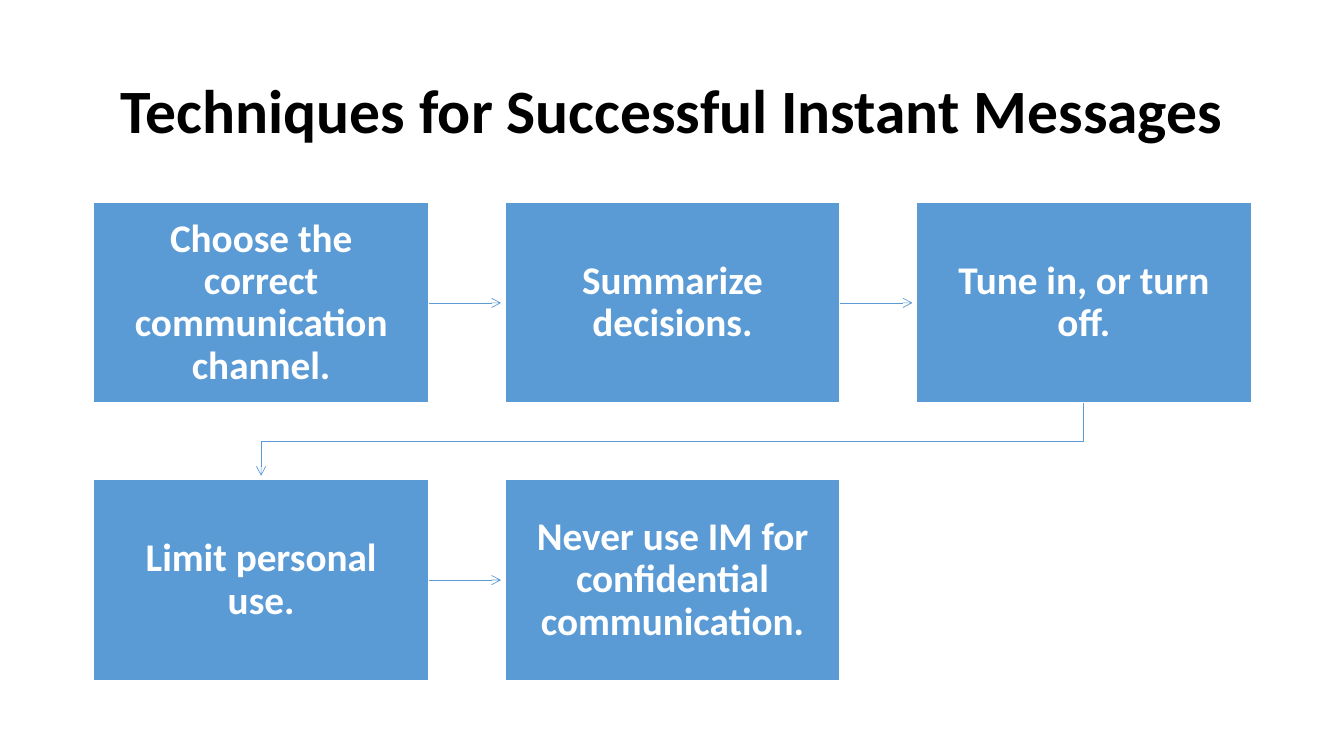
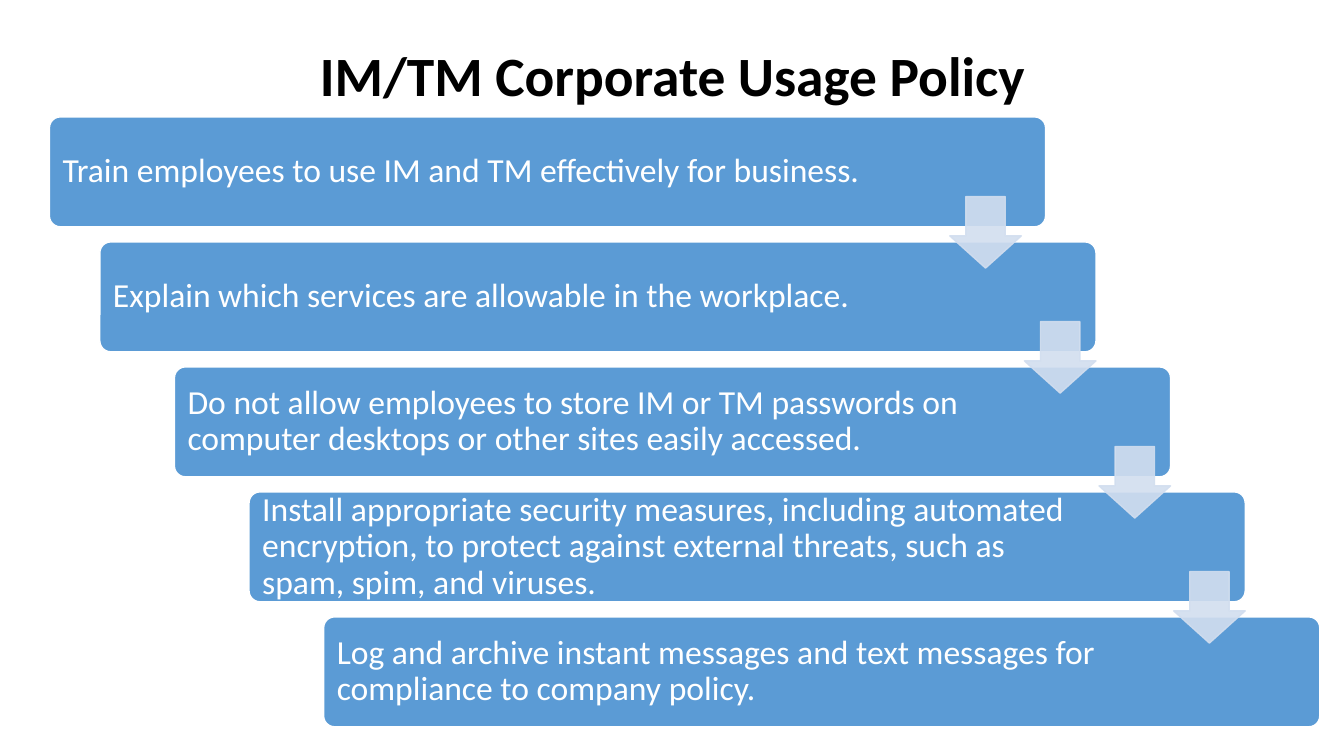
from pptx import Presentation
from pptx import util as u
from pptx.dml.color import RGBColor
from pptx.enum import shapes, text
from pptx.oxml.ns import qn
from lxml import etree

PX = 9144
FONT = "Calibri"
BLUE = RGBColor(0x5B, 0x9B, 0xD5)
PALE = RGBColor(0xD2, 0xDE, 0xEF)
WHITE = RGBColor(0xFF, 0xFF, 0xFF)
BLACK = RGBColor(0, 0, 0)

TECHNIQUES = [
    "Choose the correct communication channel.",
    "Summarize decisions.",
    "Tune in, or turn off.",
    "Limit personal use.",
    "Never use IM for confidential communication.",
]
POLICIES = [
    "Train employees to use IM and TM effectively for business.",
    "Explain which services are allowable in the workplace.",
    "Do not allow employees to store IM or TM passwords on computer desktops "
    "or other sites easily accessed.",
    "Install appropriate security measures, including automated encryption, "
    "to protect against external threats, such as spam, spim, and viruses.",
    "Log and archive instant messages and text messages for compliance to "
    "company policy.",
]


def px(*lengths):
    """Turn px lengths into EMU."""
    return [u.Emu(round(length * PX)) for length in lengths]


def write(shape, words, size, color, align, bold, insets):
    """Set one paragraph, vertically centred, inside a shape."""
    frame = shape.text_frame
    frame.text = words
    frame.word_wrap = True
    frame.auto_size = text.MSO_AUTO_SIZE.NONE
    frame.vertical_anchor = text.MSO_ANCHOR.MIDDLE
    (frame.margin_left, frame.margin_top,
     frame.margin_right, frame.margin_bottom) = px(*insets)
    para = frame.paragraphs[0]
    para.alignment = align
    para.line_spacing = 0.9
    font = para.runs[0].font
    font.name, font.size, font.bold = FONT, u.Pt(size), bold
    font.color.rgb = color


def add_page(deck, title, height, size):
    """Add a slide with its centred bold title."""
    page = deck.slides.add_slide(deck.slide_layouts[5])
    holder = page.shapes.title
    holder.left, holder.top, holder.width, holder.height = px(92, 40, 1150, height)
    write(holder, title, size, BLACK, text.PP_ALIGN.CENTER, True, (10, 5, 10, 5))
    return page


def add_block(page, kind, place, fill, line):
    """Add a flat filled shape with a 1 pt outline."""
    block = page.shapes.add_shape(kind, *px(*place))
    block.shadow.inherit = False
    block.fill.solid()
    block.fill.fore_color.rgb = fill
    block.line.color.rgb = line
    block.line.width = u.Pt(1)
    return block


def style_arrow(line):
    """Make a line thin and blue with an open arrowhead at its end."""
    line.color.rgb = BLUE
    line.width = u.Pt(0.5)
    head = etree.SubElement(line._get_or_add_ln(), qn("a:tailEnd"))
    head.set("type", "arrow")


def link_across(page, first, second, gap):
    """Draw an arrow from one box to just before the box on its right."""
    middle = first.top + first.height // 2
    arrow = page.shapes.add_connector(
        shapes.MSO_CONNECTOR.STRAIGHT, first.left + first.width, middle,
        second.left - px(gap)[0], middle)
    arrow.begin_connect(first, 3)
    style_arrow(arrow.line)
    etree.SubElement(arrow._element.spPr, qn("a:effectLst"))


def link_down(page, first, second, gap):
    """Draw a bent arrow from the end of one row to the start of the next."""
    start_x = first.left + first.width // 2
    end_x = second.left + second.width // 2
    bottom = first.top + first.height
    bend = (bottom + second.top) // 2
    builder = page.shapes.build_freeform(start_x, bottom)
    builder.add_line_segments(
        [(start_x, bend), (end_x, bend), (end_x, second.top - px(gap)[0])],
        close=False)
    arrow = builder.convert_to_shape()
    arrow.shadow.inherit = False
    arrow.fill.background()
    style_arrow(arrow.line)


def add_process(page, left, top, steps, columns=3):
    """Lay steps out in rows of boxes joined by arrows."""
    width, height, step_x, step_y, gap = 332, 199, 408, 275, 4
    boxes = []
    for index, words in enumerate(steps):
        row, column = divmod(index, columns)
        place = (left + column * step_x, top + row * step_y, width, height)
        box = add_block(page, shapes.MSO_SHAPE.RECTANGLE, place, BLUE, WHITE)
        write(box, words, 28, WHITE, text.PP_ALIGN.CENTER, True, (22,) * 4)
        boxes.append(box)
    for first, second in zip(boxes, boxes[1:]):
        link = link_across if first.top == second.top else link_down
        link(page, first, second, gap)


def add_down_arrow(page, left, top):
    """Add a pale, slightly transparent block arrow."""
    arrow = add_block(page, shapes.MSO_SHAPE.DOWN_ARROW,
                      (left, top, 71, 71), PALE, PALE)
    arrow.adjustments[0], arrow.adjustments[1] = 0.55, 0.45
    for color in arrow._element.spPr.iter(qn("a:srgbClr")):
        etree.SubElement(color, qn("a:alpha")).set("val", "90000")


def add_staircase(page, left, top, steps):
    """Stack steps in a staircase with arrows leading down."""
    width, height, step_x, step_y, first_shift = 988, 109, 74, 124, 50
    corners = [(left + (first_shift + (index - 1) * step_x if index else 0),
                top + index * step_y) for index in range(len(steps))]
    for (x, y), words in zip(corners, steps):
        bar = add_block(page, shapes.MSO_SHAPE.ROUNDED_RECTANGLE,
                        (x, y, width, height), BLUE, WHITE)
        bar.adjustments[0] = 0.1
        write(bar, words, 24, WHITE, text.PP_ALIGN.LEFT, False, (10, 0, 155, 0))
    for x, y in corners[1:]:
        add_down_arrow(page, x + width - 145, y - 45)


def main():
    """Build and save the deck."""
    deck = Presentation()
    deck.slide_width, deck.slide_height = px(1333, 750)
    page = add_page(deck, "Techniques for Successful Instant Messages", 145, 44)
    add_process(page, 93, 201, TECHNIQUES)
    page = add_page(deck, "IM/TM Corporate Usage Policy", 76, 39.6)
    add_staircase(page, 49, 116, POLICIES)
    deck.save("out.pptx")


if __name__ == "__main__":
    main()
